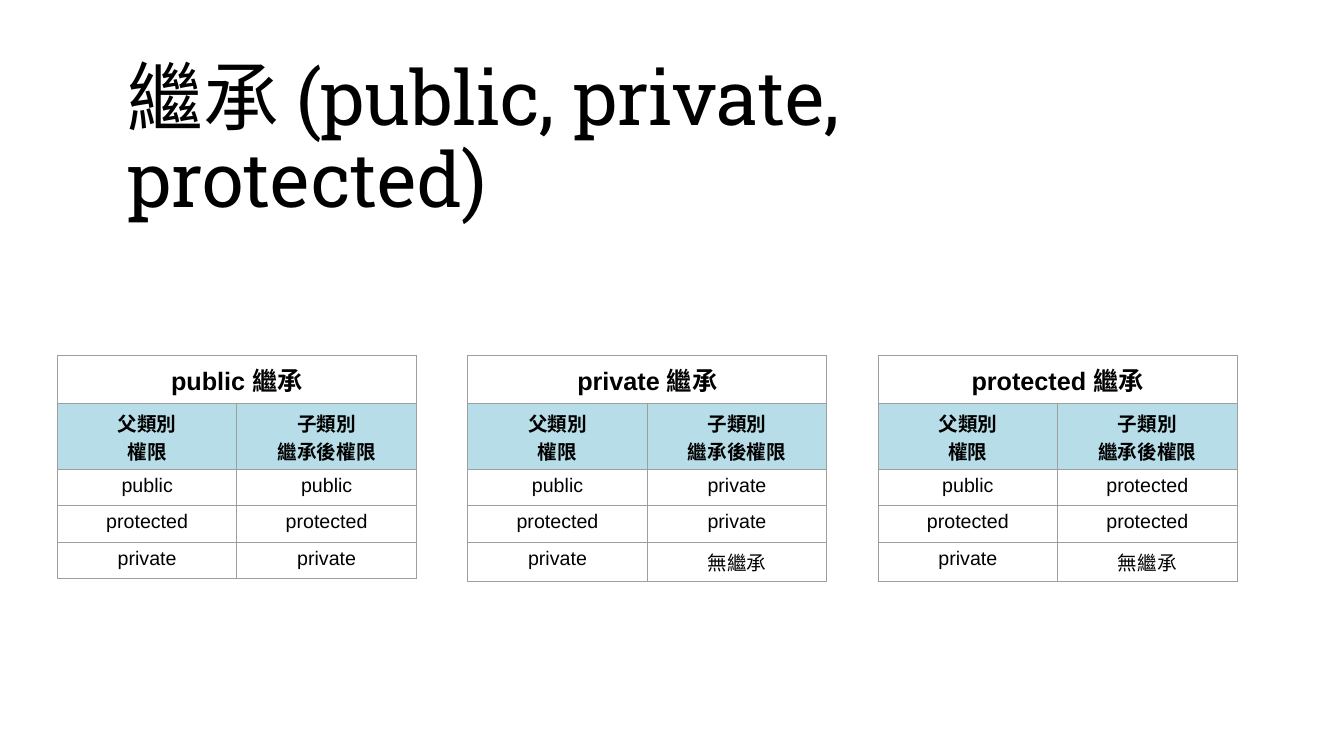
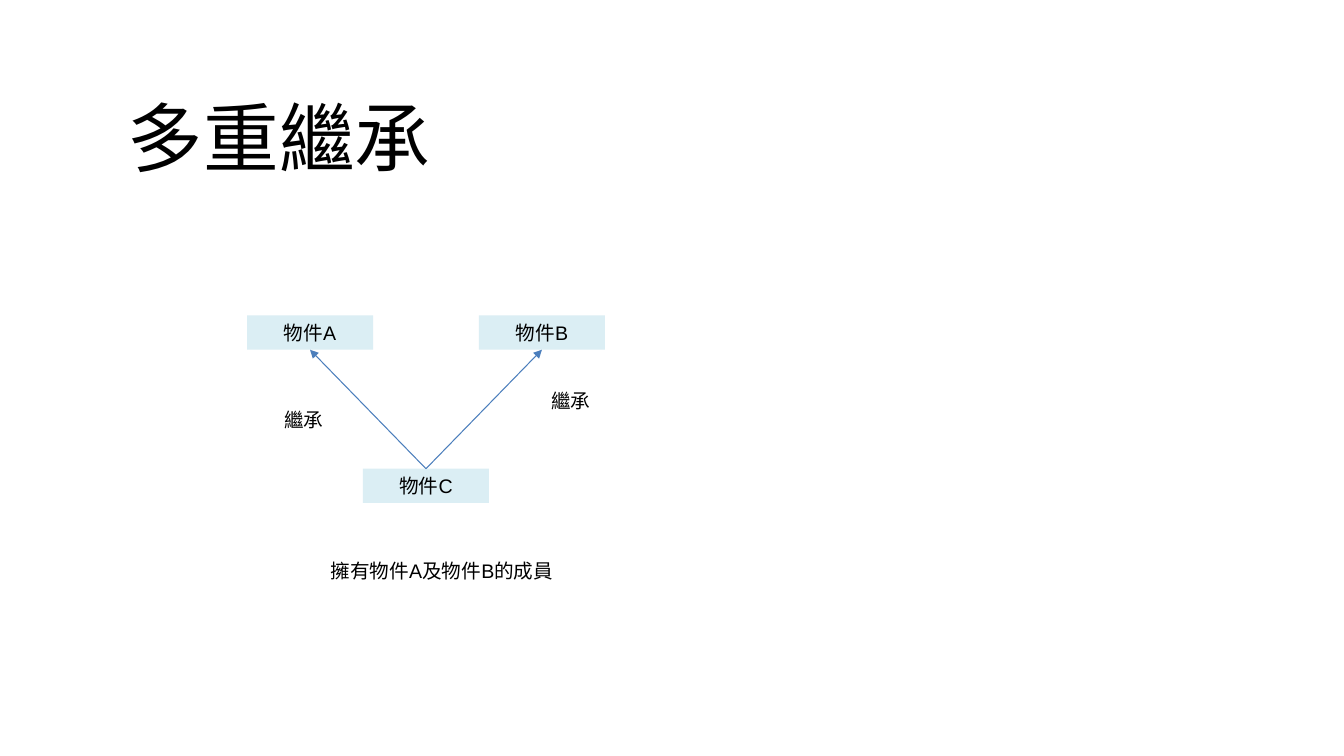
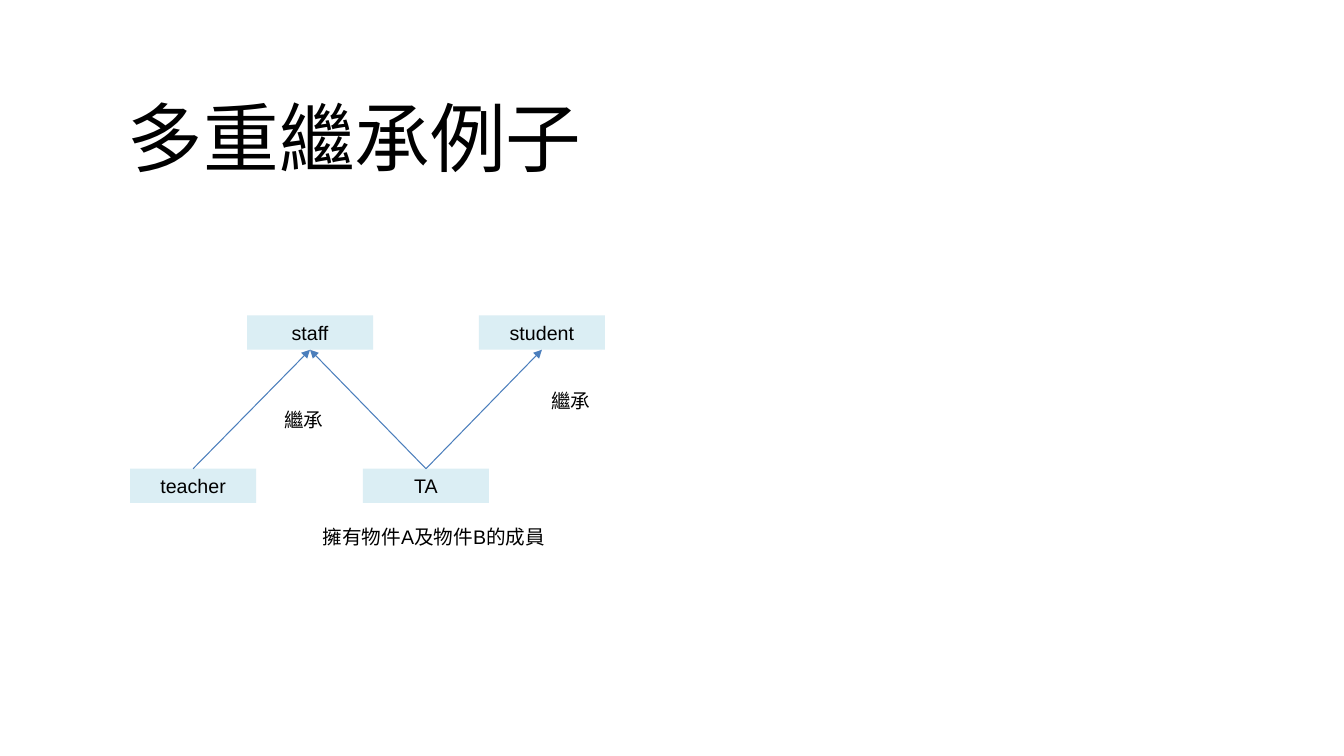
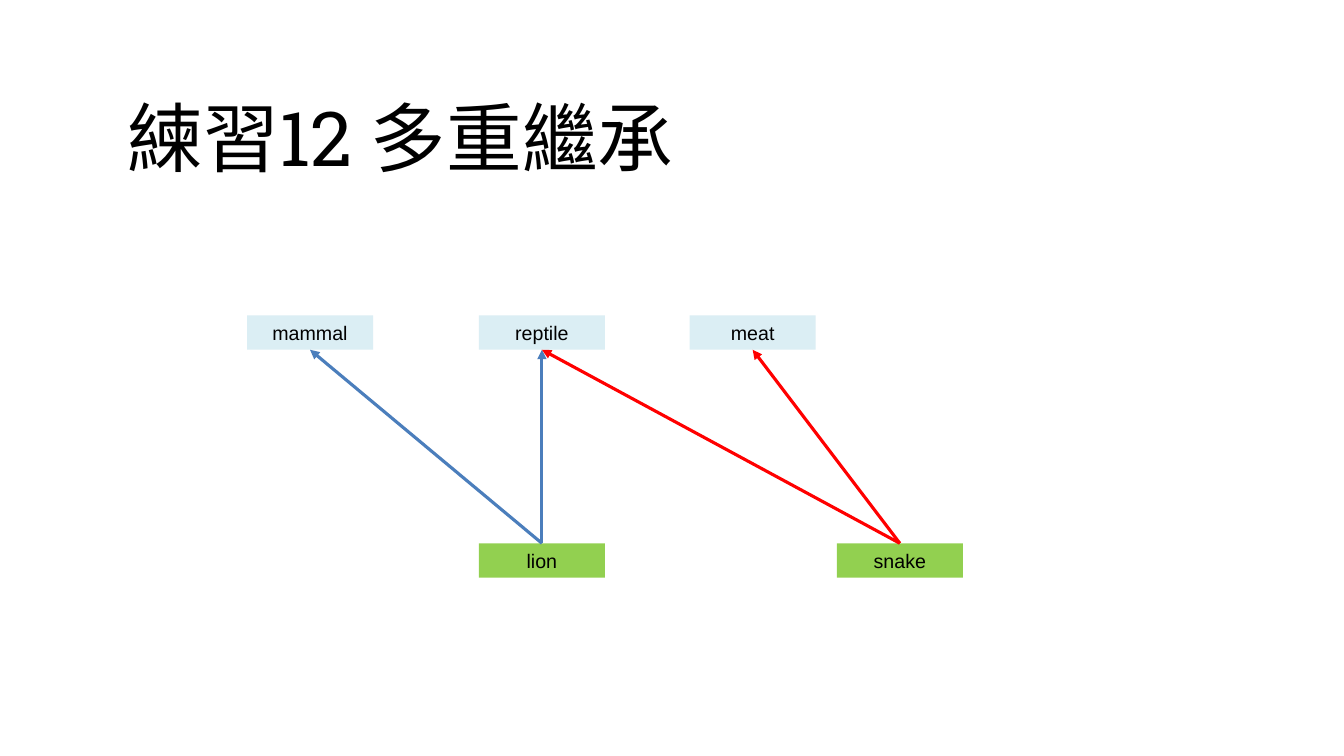
from lxml.etree import SubElement
from pptx import Presentation
from pptx.dml.color import RGBColor
from pptx.enum.lang import MSO_LANGUAGE_ID
from pptx.enum.shapes import MSO_CONNECTOR, MSO_SHAPE
from pptx.enum.text import MSO_ANCHOR, PP_ALIGN
from pptx.oxml.ns import qn
from pptx.util import Inches, Pt

# Shared look
BLACK, BLUE, RED = "000000", "4B7EBC", "FF0000"
PALE, GREEN, HEADER, GRID = "DBEEF4", "92D050", "B7DEE8", "9E9E9E"
TITLE = {"name": "Roboto Slab", "size": Pt(54)}
BODY = {"name": "Arial", "size": Pt(14)}
HEADING = {"name": "Arial", "size": Pt(14), "bold": True}
CAPTION = {"name": "Arial", "size": Pt(18), "bold": True}

# Diagram grid
BOX_W, BOX_H = 1.25, 0.34
PARENT_Y, CHILD_Y, EXERCISE_Y = 3.13, 4.65, 5.39
TOP, BOTTOM = 0, 2

# Table row heights
CAPTION_H, HEADING_H, LATIN_H, CHINESE_H = 0.47, 0.66, 0.36, 0.39


def rgb(value):
    return RGBColor.from_string(value)


def write(tf, text, style, align=PP_ALIGN.LEFT):
    """Fill a text frame, one paragraph per line of text."""
    for i, line in enumerate(text.split("\n")):
        p = tf.paragraphs[0] if i == 0 else tf.add_paragraph()
        p.alignment = align
        r = p.add_run()
        r.text = line
        r.font.color.rgb = rgb(BLACK)
        r.font.language_id = MSO_LANGUAGE_ID.TRADITIONAL_CHINESE
        for name, value in style.items():
            setattr(r.font, name, value)


def add_text(s, x, y, w, h, text, style=BODY):
    tf = s.shapes.add_textbox(Inches(x), Inches(y), Inches(w), Inches(h)).text_frame
    tf.word_wrap = True
    tf.vertical_anchor = MSO_ANCHOR.MIDDLE
    write(tf, text, style)
    return tf


def add_slide(prs, title):
    s = prs.slides.add_slide(prs.slide_layouts[6])
    tf = add_text(s, 1.17, 0.53, 11, 1.76, title, TITLE)
    tf.paragraphs[0].line_spacing = 0.9
    return s


def add_box(s, x, y, text, fill=PALE):
    sp = s.shapes.add_shape(MSO_SHAPE.RECTANGLE, Inches(x), Inches(y),
                            Inches(BOX_W), Inches(BOX_H))
    sp.shadow.inherit = False
    sp.fill.solid()
    sp.fill.fore_color.rgb = rgb(fill)
    sp.line.fill.background()
    sp.text_frame.vertical_anchor = MSO_ANCHOR.MIDDLE
    write(sp.text_frame, text, BODY, PP_ALIGN.CENTER)
    return sp


def add_arrow(s, child, parent, color=BLUE, width=0.75):
    """Draw an inheritance arrow from a child box up to its parent."""
    line = s.shapes.add_connector(MSO_CONNECTOR.STRAIGHT, 0, 0, 0, 0)
    line.begin_connect(child, TOP)
    line.end_connect(parent, BOTTOM)
    line.line.color.rgb = rgb(color)
    line.line.width = Pt(width)
    SubElement(line.line._get_or_add_ln(), qn("a:tailEnd"), type="triangle")
    SubElement(line._element.spPr, qn("a:effectLst"))


def add_borders(cell):
    tc_pr = cell._tc.get_or_add_tcPr()
    for side in ("lnL", "lnR", "lnT", "lnB"):
        ln = SubElement(tc_pr, qn(f"a:{side}"), w=str(Pt(0.75)))
        SubElement(SubElement(ln, qn("a:solidFill")), qn("a:srgbClr"), val=GRID)


def add_access_table(s, x, mode, inherited):
    rows = [(f"{mode} 繼承", ""), ("父類別\n權限", "子類別\n繼承後權限")]
    rows += zip(("public", "protected", "private"), inherited)
    heights = [CAPTION_H, HEADING_H]
    heights += [LATIN_H if access.isascii() else CHINESE_H for access in inherited]
    table = s.shapes.add_table(len(rows), 2, Inches(x), Inches(3.53),
                               Inches(3.56), Inches(sum(heights))).table
    table.first_row = table.horz_banding = False
    for i, (row, height) in enumerate(zip(rows, heights)):
        table.rows[i].height = Inches(height)
        style = CAPTION if i == 0 else HEADING if i == 1 else BODY
        for j, text in enumerate(row):
            cell = table.cell(i, j)
            add_borders(cell)
            if i == 1:
                cell.fill.solid()
                cell.fill.fore_color.rgb = rgb(HEADER)
            else:
                cell.fill.background()
            if text:
                write(cell.text_frame, text, style, PP_ALIGN.CENTER)
    table.cell(0, 0).merge(table.cell(0, 1))


def add_multiple_inheritance(s, left, right, child, note_x, note_y):
    """Draw a child with two parents; return the left parent."""
    parents = [add_box(s, 2.45, PARENT_Y, left), add_box(s, 4.75, PARENT_Y, right)]
    box = add_box(s, 3.6, CHILD_Y, child)
    for parent in parents:
        add_arrow(s, box, parent)
    for x, y in ((2.72, 3.99), (5.37, 3.8)):
        add_text(s, x, y, 0.76, BOX_H, "繼承")
    add_text(s, note_x, note_y, 2.95, BOX_H, "擁有物件A及物件B的成員")
    return parents[0]


def main():
    prs = Presentation()
    prs.slide_width, prs.slide_height = Inches(13.33), Inches(7.5)

    # Access rights by kind of inheritance
    s = add_slide(prs, "繼承 (public, private, protected)")
    tables = {
        "public": ("public", "protected", "private"),
        "private": ("private", "private", "無繼承"),
        "protected": ("protected", "protected", "無繼承"),
    }
    for i, (mode, inherited) in enumerate(tables.items()):
        add_access_table(s, 0.57 + 4.07 * i, mode, inherited)

    # Multiple inheritance
    s = add_slide(prs, "多重繼承")
    add_multiple_inheritance(s, "物件A", "物件B", "物件C", 3.18, 5.49)

    # Example
    s = add_slide(prs, "多重繼承例子")
    staff = add_multiple_inheritance(s, "staff", "student", "TA", 3.1, 5.15)
    add_arrow(s, add_box(s, 1.29, CHILD_Y, "teacher"), staff)

    # Exercise
    s = add_slide(prs, "練習12 多重繼承")
    mammal, reptile, meat = [
        add_box(s, x, PARENT_Y, name)
        for x, name in ((2.45, "mammal"), (4.75, "reptile"), (6.84, "meat"))]
    for x, name, color, parents in ((4.75, "lion", BLUE, (mammal, reptile)),
                                    (8.3, "snake", RED, (reptile, meat))):
        animal = add_box(s, x, EXERCISE_Y, name, GREEN)
        for parent in parents:
            add_arrow(s, animal, parent, color, 2.25)

    prs.save("out.pptx")


if __name__ == "__main__":
    main()
